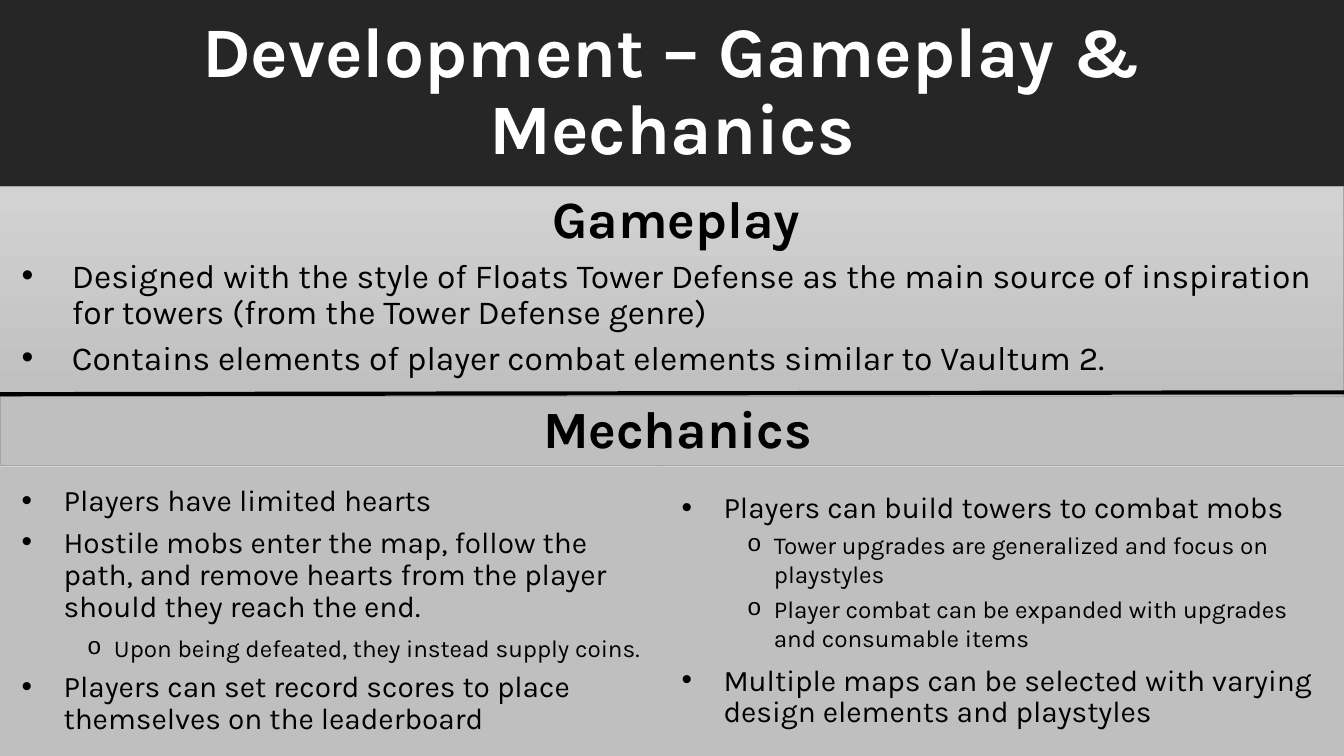
from lxml import etree
from pptx import Presentation
from pptx.dml.color import RGBColor
from pptx.enum.shapes import MSO_CONNECTOR, MSO_SHAPE
from pptx.enum.text import MSO_ANCHOR, MSO_AUTO_SIZE, PP_ALIGN
from pptx.oxml.ns import qn
from pptx.util import Pt

RECT = MSO_SHAPE.RECTANGLE
LINE = MSO_CONNECTOR.STRAIGHT
TOP, MID = MSO_ANCHOR.TOP, MSO_ANCHOR.MIDDLE
LEFT, CENTER = PP_ALIGN.LEFT, PP_ALIGN.CENTER
FIXED = MSO_AUTO_SIZE.NONE

FONT = "Karla"
WIDE, HIGH = 720, 405
HEX = {"dark": "262626", "white": "FFFFFF", "black": "000000", "gray": "BFBFBF",
       "edge": "A5A5A5", "light": "D2D2D2", "shade": "C0C0C0"}

HEAD = {"size": 28, "bold": True, "left": 4.5, "line": 0.9, "gap": 5}
WIDE_ITEM = {"size": 18, "mark": "•", "left": 31.5, "hang": 27, "line": 0.9, "gap": 5}
ITEM = {"size": 16, "mark": "•", "left": 27, "hang": 22.5, "line": 0.9, "gap": 5}
SUB = {"size": 13, "mark": "o", "left": 54, "hang": 14.4, "gap": 5, "level": 1}
TIGHT = {**ITEM, "line": Pt(16.5), "gap": 7.5}
TIGHT_SUB = {**SUB, "gap": 3}

GAMEPLAY = [
    ("Gameplay", HEAD),
    ("Designed with the style of Floats Tower Defense as the main source of inspiration "
     "for towers (from the Tower Defense genre)", WIDE_ITEM),
    ("Contains elements of player combat elements similar to Vaultum 2.", WIDE_ITEM),
]
PLAYERS = [
    ("Players have limited hearts", ITEM),
    ("Hostile mobs enter the map, follow the path, and remove hearts from the player "
     "should they reach the end.", ITEM),
    ("Upon being defeated, they instead supply coins.", SUB),
    ("Players can set record scores to place themselves on the leaderboard", ITEM),
]
TOWERS = [
    ("Players can build towers to combat mobs", TIGHT),
    ("Tower upgrades are generalized and focus on playstyles", TIGHT_SUB),
    ("Player combat can be expanded with upgrades and consumable items", TIGHT_SUB),
    ("Multiple maps can be selected with varying design elements and playstyles", TIGHT),
]


def color(name):
    return RGBColor.from_string(HEX[name])


def style(font, size, name, bold=False):
    font.name = FONT
    font.size = Pt(size)
    font.bold = bold
    font.color.rgb = color(name)


def add_mark(para, mark, left, hang):
    props = para._p.get_or_add_pPr()
    props.set("marL", str(Pt(left)))
    props.set("indent", str(-Pt(hang)))
    if mark:
        face = "Courier New" if mark == "o" else "Arial"
        etree.SubElement(props, qn("a:buFont")).set("typeface", face)
        etree.SubElement(props, qn("a:buChar")).set("char", mark)


def write(frame, items):
    for i, (text, look) in enumerate(items):
        para = frame.add_paragraph() if i else frame.paragraphs[0]
        para.text = text
        mark = look.get("mark")
        add_mark(para, mark, look["left"], look.get("hang", 0))
        para.level = look.get("level", 0)
        para.alignment = LEFT if mark else CENTER
        para.line_spacing = look.get("line", 1.0)
        para.space_before = Pt(look["gap"] if i else 0)
        style(para.runs[0].font, look["size"], "black", look.get("bold", False))


def add_panel(slide, box, items, anchor=TOP, edge=False, fade=False):
    panel = slide.shapes.add_shape(RECT, *map(Pt, box))
    panel.shadow.inherit = False
    if fade:
        panel.fill.gradient()
        panel.fill.gradient_angle = 270
        for stop, name in zip(panel.fill.gradient_stops, ("light", "shade")):
            stop.color.rgb = color(name)
    else:
        panel.fill.solid()
        panel.fill.fore_color.rgb = color("gray")
    if edge:
        panel.line.color.rgb = color("edge")
        panel.line.width = Pt(0.5)
    else:
        panel.line.fill.background()
    frame = panel.text_frame
    frame.word_wrap = True
    frame.vertical_anchor = anchor
    write(frame, items)


def add_title(slide, box, text):
    title = slide.shapes.title
    title.left, title.top, title.width, title.height = map(Pt, box)
    title.fill.solid()
    title.fill.fore_color.rgb = color("dark")
    frame = title.text_frame
    frame.text = text
    frame.word_wrap = True
    frame.auto_size = FIXED
    frame.vertical_anchor = MID
    para = frame.paragraphs[0]
    para.alignment = CENTER
    para.line_spacing = 0.9
    style(para.runs[0].font, 38, "white", True)


def add_rule(slide, start, end):
    rule = slide.shapes.add_connector(LINE, *map(Pt, start + end))
    rule.line.color.rgb = color("black")
    rule.line.width = Pt(2.25)
    etree.SubElement(rule._element.spPr, qn("a:effectLst"))


def main():
    deck = Presentation()
    deck.slide_width, deck.slide_height = Pt(WIDE), Pt(HIGH)
    slide = deck.slides.add_slide(deck.slide_layouts[5])
    add_title(slide, (0, 0, WIDE, 100), "Development – Gameplay & Mechanics")
    add_panel(slide, (0, 100, WIDE, 112.4), GAMEPLAY, edge=True, fade=True)
    add_panel(slide, (0, 212.4, 721.4, 36.8), [("Mechanics", HEAD)], edge=True)
    add_panel(slide, (0, 249.8, 355, 155.2), PLAYERS, anchor=MID)
    add_panel(slide, (353.5, 249.8, 367.9, 155.2), TOWERS, anchor=MID)
    add_rule(slide, (0, 211.2), (WIDE, 210.2))
    deck.save("out.pptx")


if __name__ == "__main__":
    main()
